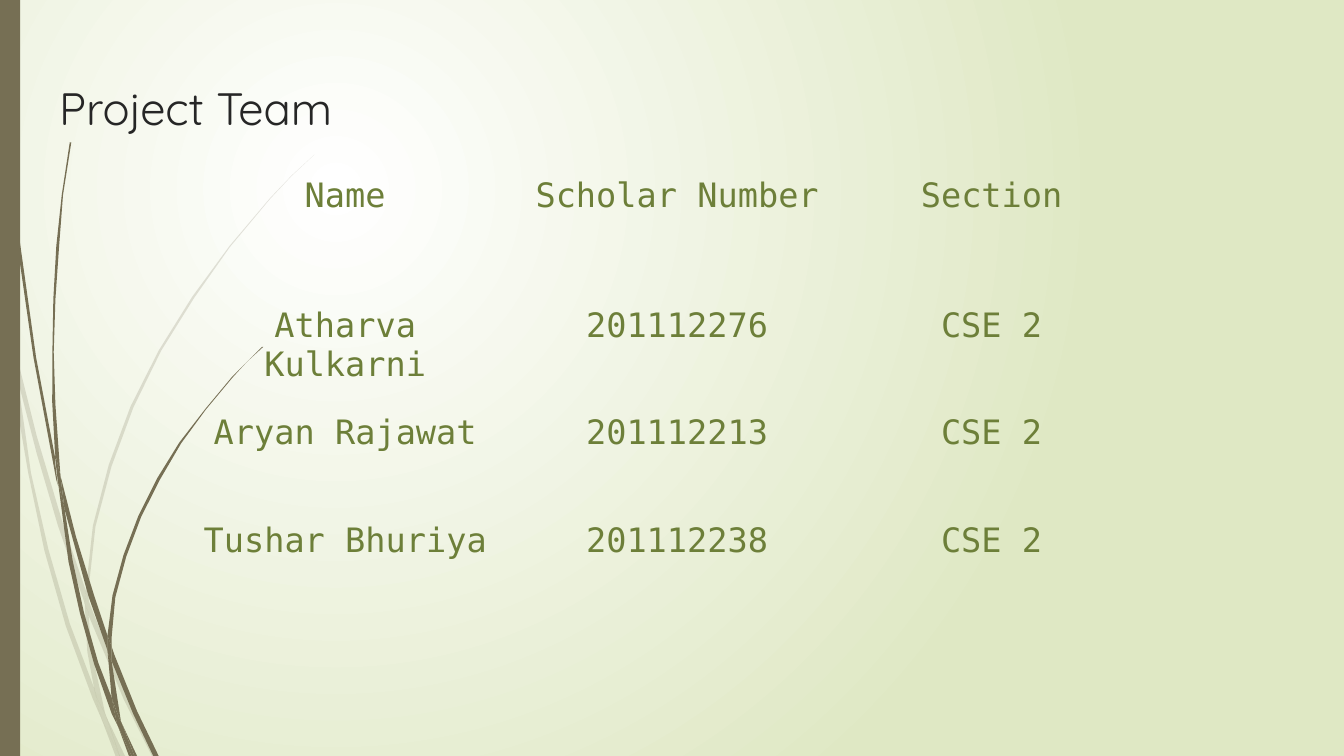
from lxml.etree import SubElement as Sub
from pptx import Presentation
from pptx.dml.color import RGBColor as RGB
from pptx.enum.shapes import MSO_SHAPE as Shape
from pptx.enum.text import MSO_ANCHOR as Anchor, MSO_AUTO_SIZE as Fit, PP_ALIGN as Align
from pptx.oxml.ns import qn
from pptx.util import Pt

TITLE = "Project Team"
ROWS = [
    ("Name", "Scholar Number", "Section"),
    ("Atharva Kulkarni", "201112276", "CSE 2"),
    ("Aryan Rajawat", "201112213", "CSE 2"),
    ("Tushar Bhuriya", "201112238", "CSE 2"),
]
WIDTHS = (177.84, 177.84, 159.12)
HEIGHTS = (69.8, 57.6, 57.6, 57.6)
SIZE = (720, 405)

THEME = {
    "glow": RGB(0xFF, 0xFF, 0xFF),
    "green": RGB(0xDF, 0xE8, 0xC4),
    "stem": RGB(0x76, 0x6F, 0x54),
    "title": RGB(0x26, 0x26, 0x26),
    "body": RGB(0x6D, 0x7F, 0x39),
    "title_font": "Quicksand",
    "body_font": "DejaVu Sans Mono",
    "title_size": 24.3,
    "body_size": 18,
    "pale": 20,
    "solid": 100,
}

# Grass blades: each outline is a list of x, y corners in points.
PALE = [
    [(5.8, 189.4), (4.3, 173.5), (0, 151.9), (0, 161.3), (5.8, 185.8)],
    [(31, 281.5), (45.4, 323.3), (46.1, 316.8), (33.8, 280.8), (19.8, 233.9),
     (7.9, 186.5), (9.4, 203), (19.6, 242.6)],
    [(49.7, 327.6), (47.5, 321.8), (47.5, 329.8), (66.2, 374.4), (81.4, 405),
     (83.5, 405), (68.4, 373.7)],
    [(64.1, 405), (67, 405), (56.9, 383.8)],
    [(50.4, 368.6), (37.4, 334.1), (25.9, 294.3), (16.6, 253.4), (9.4, 203),
     (5.8, 189.4), (9.6, 221.4), (15.1, 253.4), (23.8, 295), (35.3, 335.5),
     (49.7, 374.4), (54.7, 385.9), (53.3, 381.6)],
    [(45.4, 323.3), (46.8, 349.2), (50.4, 368.6), (51.8, 373.7), (56.9, 383.8),
     (56.2, 381.6), (49, 348.5), (47.5, 329.8), (47.5, 328.3)],
    [(47.5, 315.4), (51.2, 282.1), (59.8, 249.8), (71.5, 218.3), (86.4, 187.9),
     (104, 159.7), (123.1, 132.5), (144.7, 106.6), (156.2, 94.3), (168.5, 82.8),
     (156.2, 94.1), (144.5, 106.4), (123, 131.8), (103, 159), (85, 187.9),
     (70, 217.7), (58.3, 249.1), (49.8, 281.7), (46.1, 315.4), (46.1, 316.8),
     (47.5, 321.8)],
    [(54.7, 385.9), (61.9, 405), (64.1, 405)],
    [(47.5, 328.3), (47.5, 329.8), (47.5, 321.8), (46.1, 316.8), (45.4, 323.3)],
    [(51.8, 373.7), (50.4, 368.6), (53.3, 381.6), (54.7, 385.9), (64.1, 405),
     (56.9, 383.8)],
]
DARK = [
    [(3.6, 59), (8.6, 126), (18, 191.5), (30.2, 257), (31, 259.9), (29.5, 247),
     (29.5, 244.8), (19.4, 191.5), (10.1, 125.3), (4.3, 59), (2.2, 25.9),
     (2.2, 0), (1.4, 0), (1.9, 25.9)],
    [(47.5, 319.7), (57.6, 348.5), (57.6, 340.6), (50.4, 319), (40.6, 287.2),
     (32.4, 254.9), (34.6, 272.9)],
    [(61.2, 350.6), (59.8, 346.3), (59.8, 354.2), (71.3, 382.3), (82.1, 405),
     (85, 405), (73.4, 380.9)],
    [(59.8, 373.7), (52.6, 355), (44.9, 327.9), (38.9, 300.2), (34.6, 272.9),
     (31, 257.8), (36.7, 301), (42.8, 328.5), (50.4, 355.7), (59.8, 382.3),
     (63.4, 389.5), (62.6, 387.4)],
    [(32.4, 254.9), (31.7, 244.8), (29.7, 216.7), (28.8, 188.6), (29.7, 160.4),
     (31.7, 131.8), (33.8, 104.4), (38.2, 76.3), (37.4, 76.3), (33.1, 104.4),
     (30.2, 131.8), (28.6, 160.2), (28.1, 188.6), (28, 215.6), (29.5, 242.6)],
    [(72, 405), (73.4, 405), (65.5, 388.1)],
    [(31, 257.8), (34.6, 272.9), (32.4, 254.9), (29.5, 242.6), (29.5, 244.8)],
    [(59.8, 342), (61.8, 320), (67.7, 298.1), (75.6, 277), (85.7, 257),
     (97.1, 237.5), (110.2, 219.6), (124.6, 202.3), (132.5, 193.7),
     (141.1, 185.8), (140.4, 185.8), (132.5, 193.7), (124.6, 201.6),
     (110.2, 218.9), (96.1, 237.1), (84.2, 256.3), (74.2, 276.3),
     (66.2, 297.4), (60.3, 319), (57.6, 340.6), (59.8, 346.3)],
    [(63.4, 389.5), (69.1, 405), (70.6, 405)],
    [(57.6, 348.5), (59.8, 373.7), (62.6, 381.6), (65.5, 388.1), (64.8, 386.6),
     (59.8, 354.2), (58.3, 351.4)],
    [(57.6, 348.5), (58.3, 351.4), (59.8, 354.2), (59.8, 346.3), (57.6, 340.6)],
    [(62.6, 381.6), (59.8, 373.7), (62.6, 387.4), (63.4, 389.5), (70.6, 405),
     (72, 405), (65.5, 388.1)],
]


def paint(shape, alpha):
    """Fill a shape with the stem colour at an opacity in percent."""
    shape.shadow.inherit = False
    shape.fill.solid()
    shape.fill.fore_color.rgb = THEME["stem"]
    shape.line.fill.background()
    if alpha < 100:
        tint = shape.fill._xPr.find(".//" + qn("a:srgbClr"))
        Sub(tint, qn("a:alpha"), val=str(alpha * 1000))


def draw_blades(slide, blades, alpha):
    group = slide.shapes.add_group_shape()
    for blade in blades:
        dots = [(Pt(x), Pt(y)) for x, y in blade]
        pen = group.shapes.build_freeform(*dots[0])
        pen.add_line_segments(dots[1:], close=True)
        paint(pen.convert_to_shape(), alpha)


def style(para, kind, align):
    para.alignment = align
    for run in para.runs:
        run.font.name = THEME[kind + "_font"]
        run.font.size = Pt(THEME[kind + "_size"])
        run.font.color.rgb = THEME[kind]


def set_glow(slide):
    """Give the background a round gradient centred a quarter of the way in."""
    fill = slide.background.fill
    fill.gradient()
    for stop, name in zip(fill.gradient_stops, ("glow", "green")):
        stop.color.rgb = THEME[name]
    grad = slide.element.find(".//" + qn("a:gradFill"))
    grad.remove(grad.find(qn("a:lin")))
    ring = Sub(grad, qn("a:path"), path="circle")
    Sub(ring, qn("a:fillToRect"), l="50000", t="50000", r="100000", b="100000")


def set_title(slide):
    title = slide.shapes.title
    title.left, title.top, title.width, title.height = map(Pt, (24.5, 35, 671, 45.1))
    frame = title.text_frame
    frame.text = TITLE
    frame.auto_size = Fit.NONE
    frame.vertical_anchor = Anchor.MIDDLE
    frame.margin_left = frame.margin_right = Pt(7.2)
    frame.margin_top = frame.margin_bottom = Pt(7.2)
    style(frame.paragraphs[0], "title", Align.LEFT)


def add_team(slide):
    box = map(Pt, (96, 90.7, sum(WIDTHS), sum(HEIGHTS)))
    team = slide.shapes.add_table(len(ROWS), len(WIDTHS), *box).table
    team.first_row = team.horz_banding = False
    plain = "{2D5ABB26-0587-4C30-8999-92F81FD0307C}"
    team._tbl.tblPr.find(qn("a:tableStyleId")).text = plain
    for col, width in zip(team.columns, WIDTHS):
        col.width = Pt(width)
    for row, height, texts in zip(team.rows, HEIGHTS, ROWS):
        row.height = Pt(height)
        for cell, text in zip(row.cells, texts):
            cell.text_frame.text = text
            cell.fill.background()
            style(cell.text_frame.paragraphs[0], "body", Align.CENTER)


def main():
    deck = Presentation()
    deck.slide_width, deck.slide_height = map(Pt, SIZE)
    slide = deck.slides.add_slide(deck.slide_layouts[5])
    set_glow(slide)
    draw_blades(slide, PALE, THEME["pale"])
    draw_blades(slide, DARK, THEME["solid"])
    bar = slide.shapes.add_shape(Shape.RECTANGLE, 0, 0, Pt(10.8), Pt(SIZE[1]))
    paint(bar, THEME["solid"])
    set_title(slide)
    add_team(slide)
    deck.save("out.pptx")


if __name__ == "__main__":
    main()
